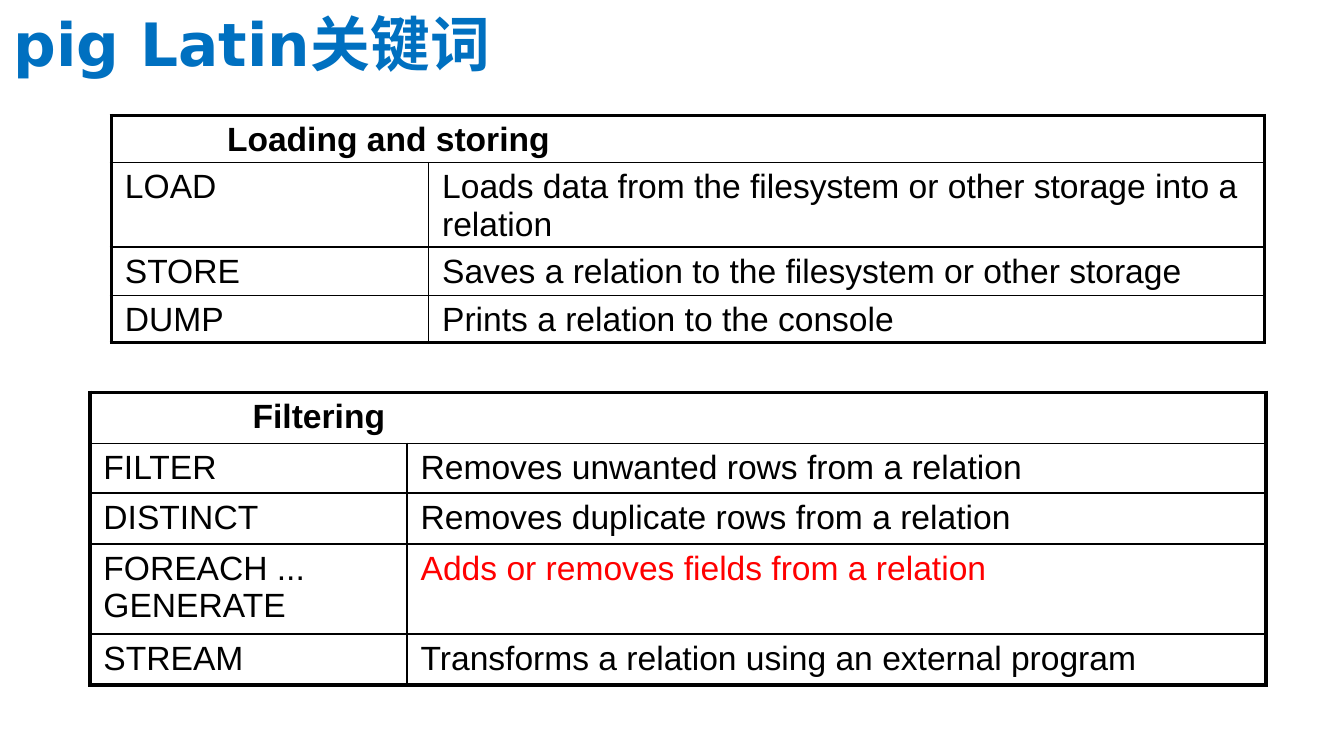
from lxml import etree
from pptx import Presentation
from pptx.dml.color import RGBColor
from pptx.enum.text import MSO_ANCHOR, MSO_AUTO_SIZE, PP_ALIGN
from pptx.oxml.ns import qn
from pptx.util import Inches, Pt

TOP = MSO_ANCHOR.TOP
LEFT = PP_ALIGN.LEFT
FIXED = MSO_AUTO_SIZE.NONE
COLORS = {"title": "0070C0", "text": "000000", "mark": "FF0000", "line": "000000"}
THIN, THICK = 1, 2.25


class Deck:
    font = "Arial"
    head = "DejaVu Sans"

    def __init__(self, width, height):
        self.prs = Presentation()
        self.prs.slide_width = Inches(width)
        self.prs.slide_height = Inches(height)
        self.slide = self.prs.slides.add_slide(self.prs.slide_layouts[5])

    def style(self, para, font, size, color, bold):
        para.alignment = LEFT
        for run in para.runs:
            run.font.name = font
            run.font.size = Pt(size)
            run.font.bold = bold
            run.font.color.rgb = RGBColor.from_string(COLORS[color])

    def title(self, text, left, top, width, height):
        shape = self.slide.shapes.title
        shape.left, shape.top = Inches(left), Inches(top)
        shape.width, shape.height = Inches(width), Inches(height)
        frame = shape.text_frame
        frame.text = text
        frame.auto_size = FIXED
        frame.vertical_anchor = TOP
        self.style(frame.paragraphs[0], self.head, 32, "title", True)

    def border(self, cell, widths):
        props = cell._tc.get_or_add_tcPr()
        for side, width in zip("LRTB", widths):
            line = etree.SubElement(props, qn(f"a:ln{side}"), w=str(Pt(width)))
            fill = etree.SubElement(line, qn("a:solidFill"))
            etree.SubElement(fill, qn("a:srgbClr"), val=COLORS["line"])

    def cell(self, cell, text, color="text", bold=False, indent=0):
        cell.margin_left = Inches(0.1 + indent)
        cell.margin_right = Inches(0.1)
        cell.margin_top = Inches(0.04)
        cell.margin_bottom = Inches(0.03)
        cell.vertical_anchor = TOP
        cell.text = text
        self.style(cell.text_frame.paragraphs[0], self.font, 18, color, bold)

    def table(self, left, top, cols, heights, name, indent, rows, marked=()):
        count = len(heights)
        grid = self.slide.shapes.add_table(
            count, 2, Inches(left), Inches(top),
            Inches(sum(cols)), Inches(sum(heights))).table
        grid.first_row = grid.horz_banding = False
        for col, width in zip(grid.columns, cols):
            col.width = Inches(width)
        for row, height in zip(grid.rows, heights):
            row.height = Inches(height)
        grid.cell(0, 0).merge(grid.cell(0, 1))
        self.cell(grid.cell(0, 0), name, bold=True, indent=indent)
        for r, (word, note) in enumerate(rows, 1):
            self.cell(grid.cell(r, 0), word)
            self.cell(grid.cell(r, 1), note, "mark" if word in marked else "text")
        for r in range(count):
            for c in range(2):
                edges = (c == 0, c == 1 or r == 0, r == 0, r == count - 1)
                cell = grid.cell(r, c)
                self.border(cell, [THICK if edge else THIN for edge in edges])
                cell.fill.background()


def main():
    deck = Deck(10, 10 * 9 / 16)
    deck.title("pig Latin关键词", 0, 0, 9.88, 0.64)
    deck.table(0.83, 0.86, (2.36, 6.22), (0.35, 0.63, 0.36, 0.35),
               "Loading and storing", 0.76, [
        ("LOAD", "Loads data from the filesystem or other storage into a relation"),
        ("STORE", "Saves a relation to the filesystem or other storage"),
        ("DUMP", "Prints a relation to the console"),
    ])
    deck.table(0.67, 2.92, (2.36, 6.39), (0.38, 0.37, 0.38, 0.67, 0.38),
               "Filtering", 1.11, [
        ("FILTER", "Removes unwanted rows from a relation"),
        ("DISTINCT", "Removes duplicate rows from a relation"),
        ("FOREACH ... GENERATE", "Adds or removes fields from a relation"),
        ("STREAM", "Transforms a relation using an external program"),
    ], marked=("FOREACH ... GENERATE",))
    deck.prs.save("out.pptx")


if __name__ == "__main__":
    main()
